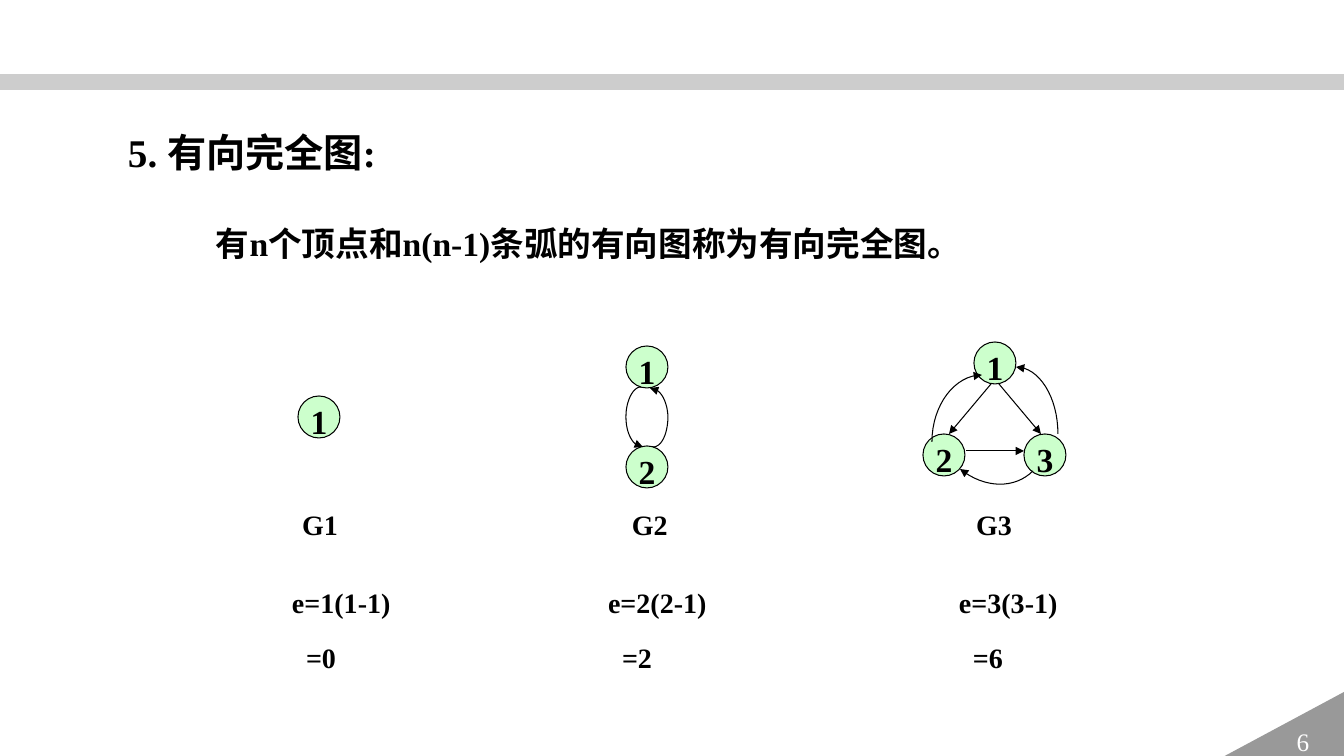
from dataclasses import dataclass
from typing import Optional

from lxml import etree
from pptx import Presentation
from pptx.dml.color import RGBColor
from pptx.enum.shapes import MSO_CONNECTOR, MSO_SHAPE
from pptx.enum.text import MSO_ANCHOR, PP_ALIGN
from pptx.oxml.ns import qn
from pptx.util import Emu, Pt

RECTANGLE, OVAL, CORNER = MSO_SHAPE.RECTANGLE, MSO_SHAPE.OVAL, MSO_SHAPE.RIGHT_TRIANGLE
STRAIGHT = MSO_CONNECTOR.STRAIGHT
LEFT, CENTER = PP_ALIGN.LEFT, PP_ALIGN.CENTER
TOP, MIDDLE = MSO_ANCHOR.TOP, MSO_ANCHOR.MIDDLE

BLACK = RGBColor(0x00, 0x00, 0x00)
WHITE = RGBColor(0xFF, 0xFF, 0xFF)
BAR_GRAY = RGBColor(0xA6, 0xA6, 0xA6)
CORNER_GRAY = RGBColor(0x99, 0x99, 0x99)
NODE_GREEN = RGBColor(0xCC, 0xFF, 0xCC)

FONT = "Times New Roman"
SLIDE_WIDTH, SLIDE_HEIGHT = 1344, 756
EMU_PER_PX = 12192000 / SLIDE_WIDTH
NODE_SIZE = 42
CURVE_STEPS = 16
NO_MARGINS = (0, 0, 0, 0)

Point = tuple[int, int]


@dataclass(frozen=True)
class Node:
    """A numbered vertex, placed by its top left corner."""
    label: str
    left: int
    top: int


@dataclass(frozen=True)
class Graph:
    """A directed graph with straight arrows and Bezier arcs."""
    nodes: tuple[Node, ...]
    arrows: tuple[tuple[Point, Point], ...] = ()
    arcs: tuple[tuple[Point, ...], ...] = ()


@dataclass(frozen=True)
class EdgeCount:
    """The formula and the result below one graph."""
    left: int
    formula: str
    result: str


GRAPHS = (
    Graph((Node("1", 298, 396),)),
    Graph(
        (Node("1", 626, 346), Node("2", 626, 446)),
        arcs=(
            ((641, 387), (633, 387), (626, 401), (626, 417),
             (626, 433), (633, 447), (643, 447)),
            ((653, 447), (662, 447), (668, 433), (668, 416),
             (667, 400), (660, 388), (650, 388)),
        ),
    ),
    Graph(
        (Node("1", 974, 342), Node("2", 923, 434), Node("3", 1024, 434)),
        arrows=(
            ((991, 384), (949, 434)),
            ((999, 384), (1041, 434)),
            ((966, 451), (1024, 451)),
        ),
        arcs=(
            ((932, 442), (932, 405), (955, 375), (982, 375)),
            ((1058, 434), (1058, 397), (1039, 367), (1016, 367)),
            ((1033, 471), (1015, 489), (985, 489), (960, 469)),
        ),
    ),
)
EDGE_COUNTS = (
    EdgeCount(292, "e=1(1-1)", "=0"),
    EdgeCount(608, "e=2(2-1)", "=2"),
    EdgeCount(959, "e=3(3-1)", "=6"),
)


def px(length: float) -> Emu:
    """Turn px into EMU."""
    return Emu(round(length * EMU_PER_PX))


def write(shape, *lines: str, size: int, color: RGBColor = BLACK, bold: bool = True,
          align=LEFT, anchor=TOP, margins: tuple[int, int, int, int] = (10, 5, 10, 5),
          spacing: float = 1.2, gap: float = 0, indent: int = 0,
          tabs: tuple[int, ...] = ()) -> None:
    """Write one paragraph per line, indenting those after the first."""
    frame = shape.text_frame
    frame.word_wrap = True
    frame.vertical_anchor = anchor
    (frame.margin_left, frame.margin_top,
     frame.margin_right, frame.margin_bottom) = map(px, margins)
    for index, line in enumerate(lines):
        paragraph = frame.add_paragraph() if index else frame.paragraphs[0]
        properties = paragraph._p.get_or_add_pPr()
        if tabs:
            stops = etree.SubElement(properties, qn("a:tabLst"))
            for position in tabs:
                etree.SubElement(stops, qn("a:tab"), pos=str(px(position)), algn="l")
        paragraph.alignment = align
        paragraph.line_spacing = spacing
        if index:
            properties.set("marL", str(px(indent)))
            paragraph.space_before = Pt(gap)
        run = paragraph.add_run()
        run.text = line
        run.font.name, run.font.size = FONT, Pt(size)
        run.font.bold, run.font.color.rgb = bold, color


def add_text(slide, left: int, top: int, width: int, height: int, *lines: str, **style) -> None:
    """Add a text box."""
    write(slide.shapes.add_textbox(*map(px, (left, top, width, height))), *lines, **style)


def add_filled(shapes, kind, left: int, top: int, width: int, height: int,
               fill: RGBColor, line: Optional[RGBColor] = None):
    """Add a flat preset shape."""
    shape = shapes.add_shape(kind, *map(px, (left, top, width, height)))
    shape.shadow.inherit = False
    shape.fill.solid()
    shape.fill.fore_color.rgb = fill
    if line is None:
        shape.line.fill.background()
    else:
        shape.line.color.rgb, shape.line.width = line, Pt(0.75)
    return shape


def style_arrow(shape) -> None:
    """Give a line its colour, width and end arrowhead."""
    shape.line.color.rgb, shape.line.width = BLACK, Pt(0.75)
    etree.SubElement(shape.line._get_or_add_ln(), qn("a:tailEnd"), type="triangle")


def bezier(controls: tuple[Point, ...], t: float) -> Point:
    """Find the EMU point at t on a cubic curve."""
    weights = ((1 - t) ** 3, 3 * t * (1 - t) ** 2, 3 * t ** 2 * (1 - t), t ** 3)
    x, y = (sum(w * v for w, v in zip(weights, axis)) for axis in zip(*controls))
    return px(x), px(y)


def add_arc(shapes, controls: tuple[Point, ...]) -> None:
    """Draw a chain of cubic curves ending in an arrowhead."""
    points = [bezier(controls[start:start + 4], step / CURVE_STEPS)
              for start in range(0, len(controls) - 1, 3)
              for step in range(1, CURVE_STEPS + 1)]
    builder = shapes.build_freeform(*map(px, controls[0]))
    builder.add_line_segments(points, close=False)
    arc = builder.convert_to_shape()
    arc.shadow.inherit = False
    arc.fill.background()
    style_arrow(arc)


def add_arrow(shapes, start: Point, end: Point) -> None:
    """Draw a straight arrow."""
    arrow = shapes.add_connector(STRAIGHT, *map(px, start + end))
    style_arrow(arrow)
    etree.SubElement(arrow._element.spPr, qn("a:effectLst"))


def add_graph(slide, graph: Graph) -> None:
    """Draw a graph, grouped when it has several nodes."""
    shapes = slide.shapes.add_group_shape().shapes if len(graph.nodes) > 1 else slide.shapes
    for node in graph.nodes:
        circle = add_filled(shapes, OVAL, node.left, node.top, NODE_SIZE, NODE_SIZE,
                            NODE_GREEN, BLACK)
        write(circle, node.label, size=24, align=CENTER, anchor=MIDDLE, margins=NO_MARGINS)
    for start, end in graph.arrows:
        add_arrow(shapes, start, end)
    for controls in graph.arcs:
        add_arc(shapes, controls)


def main() -> None:
    """Build the slide and save it."""
    presentation = Presentation()
    presentation.slide_width, presentation.slide_height = px(SLIDE_WIDTH), px(SLIDE_HEIGHT)
    slide = presentation.slides.add_slide(presentation.slide_layouts[6])

    bar = add_filled(slide.shapes, RECTANGLE, 0, 74, SLIDE_WIDTH, 16, BAR_GRAY)
    bar_color = bar._element.spPr.find(qn("a:solidFill"))[0]
    etree.SubElement(bar_color, qn("a:alpha"), val="56000")
    corner = add_filled(slide.shapes, CORNER, 1221, 692, 123, 66, CORNER_GRAY)
    corner._element.spPr.find(qn("a:xfrm")).set("flipH", "1")
    write(corner, "6", size=18, color=WHITE, bold=False, align=CENTER, anchor=MIDDLE, spacing=1)

    add_text(slide, 118, 114, 905, 68, "5. 有向完全图:", size=28)
    add_text(slide, 206, 210, 978, 59, "有n个顶点和n(n-1)条弧的有向图称为有向完全图。", size=24)
    for graph in GRAPHS:
        add_graph(slide, graph)
    add_text(slide, 292, 496, 737, 50, "G1\tG2\tG3", size=20, tabs=(330, 674))
    for count in EDGE_COUNTS:
        add_text(slide, count.left, 579, 111, 99, count.formula, count.result, size=20,
                 margins=NO_MARGINS, gap=10.5, indent=14)

    presentation.save("out.pptx")


if __name__ == "__main__":
    main()
